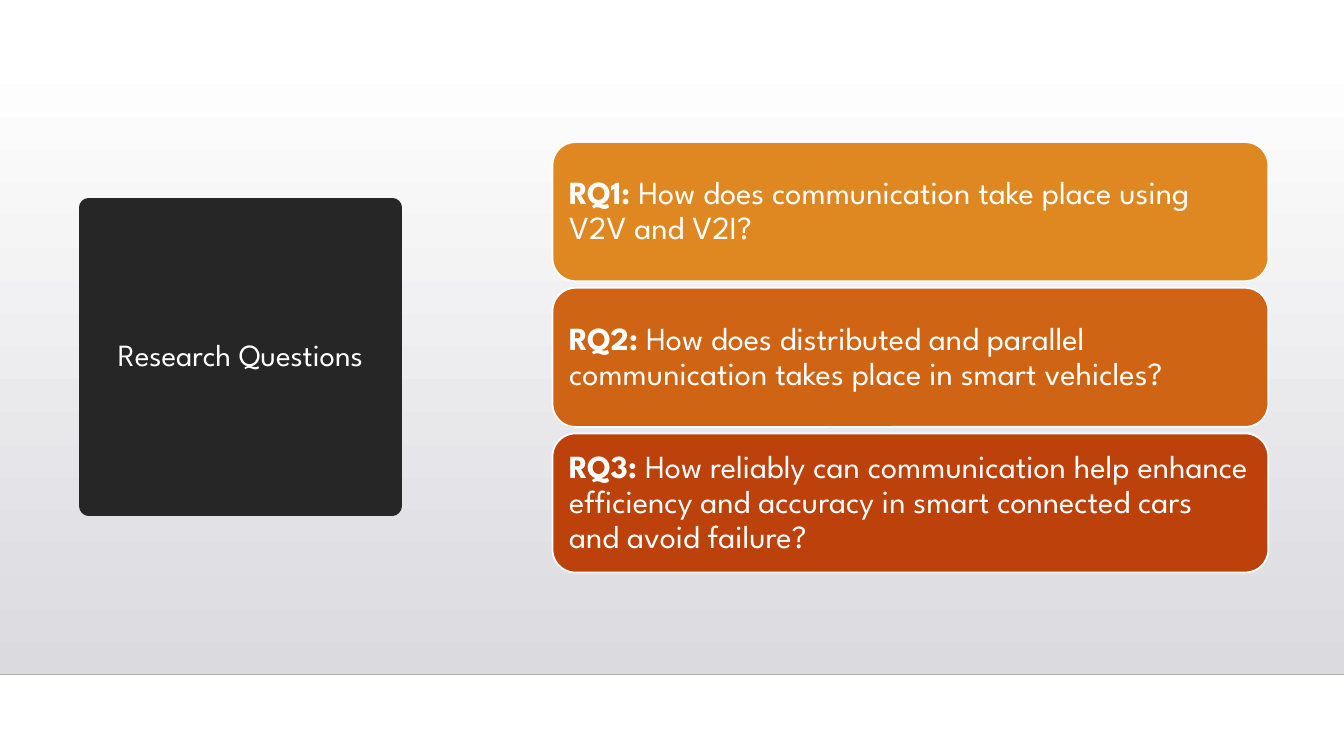
"""Build the research questions slide: a round title beside three question cards."""
from lxml import etree
from pptx import Presentation
from pptx.dml.color import RGBColor
from pptx.enum import shapes, text
from pptx.oxml import ns
from pptx.util import Inches, Pt

WHITE = RGBColor(0xFF, 0xFF, 0xFF)
MIST = RGBColor(0xDA, 0xDA, 0xDF)
RULE = RGBColor(0xAF, 0xAF, 0xB3)
DARK = RGBColor(0x26, 0x26, 0x26)
AMBER = RGBColor(0xDF, 0x88, 0x22)
ORANGE = RGBColor(0xCF, 0x64, 0x14)
RUST = RGBColor(0xBC, 0x41, 0x0A)

WIDE, HIGH = 13.33, 7.5
TOP, BASE = 0.51, 6.69
LEFT, FIRST, STEP = 5.48, 1.41, 1.445
CARD_W, CARD_H = 7.1, 1.38

CARDS = [
    (AMBER, "RQ1:", " How does communication take place using V2V and V2I?"),
    (ORANGE, "RQ2:", " How does distributed and parallel communication takes place in smart vehicles?"),
    (RUST, "RQ3:", " How reliably can communication help enhance efficiency and accuracy in smart connected cars and avoid failure?"),
]


def style(item, values):
    """Set each named value on the item."""
    for name, value in values.items():
        setattr(item, name, value)


def paint(shape, fill, edge, width):
    """Give a shape a plain fill and outline and a centred text frame."""
    shape.fill.solid()
    shape.fill.fore_color.rgb = fill
    shape.line.color.rgb = edge
    shape.line.width = Pt(width)
    style(shape.text_frame, {
        "word_wrap": True,
        "auto_size": text.MSO_AUTO_SIZE.NONE,
        "vertical_anchor": text.MSO_ANCHOR.MIDDLE,
    })


deck = Presentation()
style(deck, {"slide_width": Inches(WIDE), "slide_height": Inches(HIGH)})
slide = deck.slides.add_slide(deck.slide_layouts[5])
slide.background.fill.solid()
slide.background.fill.fore_color.rgb = WHITE

band = slide.shapes.add_shape(
    shapes.MSO_SHAPE.RECTANGLE, 0, Inches(TOP), Inches(WIDE), Inches(BASE - TOP))
band.shadow.inherit = False
band.line.fill.background()
band.fill.gradient()
band.fill.gradient_angle = 270
for stop, color in zip(band.fill.gradient_stops, (WHITE, MIST)):
    stop.color.rgb = color

floor = slide.shapes.add_connector(
    shapes.MSO_CONNECTOR.STRAIGHT, 0, Inches(BASE), Inches(WIDE), Inches(BASE))
floor.line.color.rgb = RULE
floor.line.width = Pt(1)
etree.SubElement(floor.element.spPr, ns.qn("a:effectLst"))

for row, (color, label, question) in enumerate(CARDS):
    card = slide.shapes.add_shape(
        shapes.MSO_SHAPE.ROUNDED_RECTANGLE, Inches(LEFT), Inches(FIRST + row * STEP),
        Inches(CARD_W), Inches(CARD_H))
    card.shadow.inherit = False
    paint(card, color, WHITE, 1.25)
    style(card.text_frame, dict.fromkeys(
        ("margin_left", "margin_top", "margin_right", "margin_bottom"), Inches(0.1)))
    para = card.text_frame.paragraphs[0]
    style(para, {"alignment": text.PP_ALIGN.LEFT, "line_spacing": 0.9})
    for words, bold in ((label, True), (question, False)):
        run = para.add_run()
        run.text = words
        style(run.font, {"name": "League Spartan", "size": Pt(23), "bold": bold})
        run.font.color.rgb = WHITE

title = slide.shapes.title
style(title, {"left": Inches(0.88), "top": Inches(2.06),
              "width": Inches(3.01), "height": Inches(2.96)})
round_ = etree.SubElement(title.element.spPr, ns.qn("a:prstGeom"), prst="ellipse")
etree.SubElement(round_, ns.qn("a:avLst"))
paint(title, DARK, DARK, 13.75)
title.text_frame.text = "Research Questions"
para = title.text_frame.paragraphs[0]
style(para, {"alignment": text.PP_ALIGN.CENTER, "line_spacing": 0.9})
style(para.runs[0].font, {"name": "League Spartan", "size": Pt(22)})
para.runs[0].font.color.rgb = WHITE
slide.shapes.element.append(title.element)

deck.save("out.pptx")
